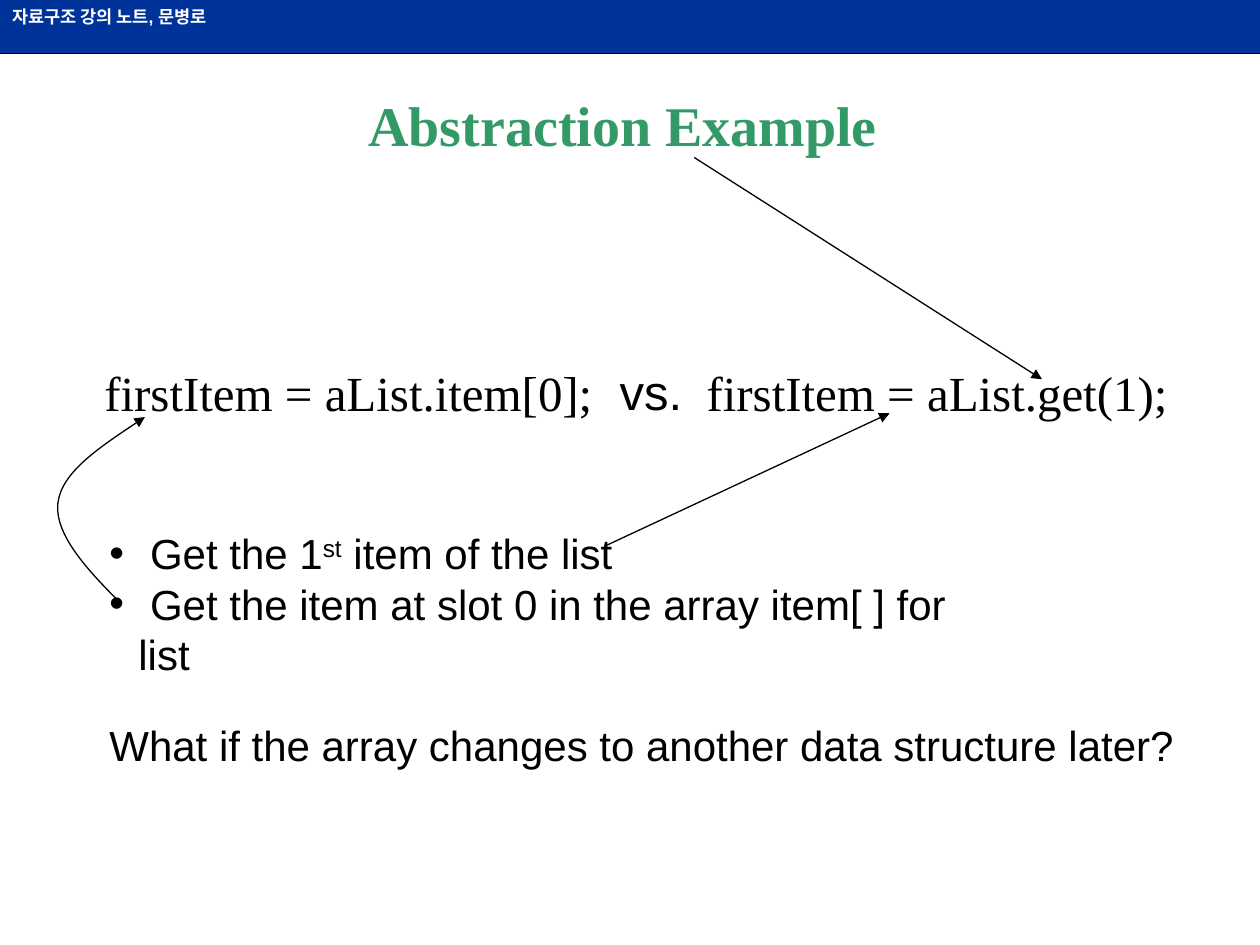
import pptx
import pptx.util
import pptx.dml.color
import pptx.enum.shapes
import pptx.enum.text
import pptx.oxml.ns
import lxml.etree
from dataclasses import dataclass

Inches = pptx.util.Inches
Pt = pptx.util.Pt
qn = pptx.oxml.ns.qn
Align = pptx.enum.text.PP_ALIGN


@dataclass(frozen=True)
class Theme:
    navy: str = "003399"
    green: str = "339966"
    black: str = "000000"
    white: str = "FFFFFF"
    sans: str = "Arial"
    serif: str = "Times New Roman"
    small: int = 10
    text: int = 24
    code: int = 28
    title: int = 32
    thin: float = 0.75
    thick: float = 1.5


THEME = Theme()


def color(hue):
    return pptx.dml.color.RGBColor.from_string(hue)


def style(font, size, name=THEME.sans, hue=THEME.black, bold=False):
    form = {"size": Pt(size), "name": name, "bold": bold}
    for key, value in form.items():
        setattr(font, key, value)
    font.color.rgb = color(hue)


def add_text(slide, box, text, size, align=Align.LEFT, wrap=True, **look):
    shape = slide.shapes.add_textbox(*map(Inches, box))
    frame = shape.text_frame
    frame.word_wrap = wrap
    para = frame.paragraphs[0]
    para.alignment = align
    run = para.add_run()
    run.text = text
    style(run.font, size, **look)


def add_list(slide, box, items, size):
    frame = slide.shapes.add_textbox(*map(Inches, box)).text_frame
    frame.word_wrap = True
    for index, parts in enumerate(items):
        para = frame.add_paragraph() if index else frame.paragraphs[0]
        props = para._p.get_or_add_pPr()
        indent = Inches(0.23)
        props.set("marL", str(indent))
        props.set("indent", str(-indent))
        lxml.etree.SubElement(props, qn("a:buFont")).set("typeface", THEME.sans)
        lxml.etree.SubElement(props, qn("a:buChar")).set("char", "•")
        for text, base in parts:
            run = para.add_run()
            run.text = text
            style(run.font, size)
            if base:
                run._r.get_or_add_rPr().set("baseline", str(base * 1000))


def draw(shape, width, arrow):
    shape.line.width = Pt(width)
    shape.line.color.rgb = color(THEME.black)
    if arrow:
        line = shape.line._get_or_add_ln()
        lxml.etree.SubElement(line, qn("a:tailEnd")).set("type", "triangle")


def add_line(slide, start, end, width=THEME.thin, arrow=True):
    kind = pptx.enum.shapes.MSO_CONNECTOR.STRAIGHT
    line = slide.shapes.add_connector(kind, *map(Inches, start + end))
    draw(line, width, arrow)
    lxml.etree.SubElement(line._element.spPr, qn("a:effectLst"))


def add_curve(slide, points):
    first, *rest = [tuple(map(Inches, point)) for point in points]
    maker = slide.shapes.build_freeform(*first)
    maker.add_line_segments(rest, close=False)
    shape = maker.convert_to_shape()
    shape.fill.background()
    shape.shadow.inherit = False
    draw(shape, THEME.thin, True)
    route = next(shape._element.iter(qn("a:path")))
    steps = route.findall(qn("a:lnTo"))
    for index in range(0, len(steps), 3):
        curve = lxml.etree.SubElement(route, qn("a:cubicBezTo"))
        for step in steps[index:index + 3]:
            curve.append(step[0])
            route.remove(step)


def add_header(slide, text):
    add_line(slide, (0, 0.42), (10, 0.42), THEME.thick, False)
    box = (0, 0, 10, 0.42)
    kind = pptx.enum.shapes.MSO_SHAPE.RECTANGLE
    bar = slide.shapes.add_shape(kind, *map(Inches, box))
    bar.shadow.inherit = False
    bar.fill.solid()
    bar.fill.fore_color.rgb = color(THEME.navy)
    bar.line.fill.background()
    add_text(slide, box, text, THEME.small, hue=THEME.white, bold=True)


def main():
    deck = pptx.Presentation()
    deck.slide_width, deck.slide_height = Inches(10), Inches(7.5)
    slide = deck.slides.add_slide(deck.slide_layouts[6])

    add_header(slide, "자료구조 강의 노트, 문병로")
    add_text(slide, (0.75, 0.67, 8.5, 1.25), "Abstraction Example ", THEME.title,
             Align.CENTER, name=THEME.serif, hue=THEME.green, bold=True)
    for left, wide, code in (
        (0.73, 4.13, "firstItem = aList.item[0];"),
        (5.51, 4.04, "firstItem = aList.get(1);"),
    ):
        add_text(slide, (left, 2.83, wide, 0.65), code, THEME.code, name=THEME.serif)
    add_text(slide, (4.82, 2.82, 0.75, 0.57), "vs.", THEME.code)
    add_text(slide, (0.77, 5.66, 8.7, 0.5),
             "What if the array changes to another data structure later?",
             THEME.text)
    add_list(slide, (0.77, 4.14, 7.22, 0.9), (
        ((" Get the 1", 0), ("st", 30), (" item of the list", 0)),
        ((" Get the item at slot 0 in the array item[ ] for list", 0),),
    ), THEME.text)
    add_line(slide, (5.51, 1.25), (8.27, 3.01))
    add_line(slide, (4.81, 4.33), (7.06, 3.28))
    add_curve(slide, ((0.96, 4.79), (0.69, 4.52), (0.43, 4.24), (0.46, 3.99),
                      (0.49, 3.75), (0.82, 3.53), (1.15, 3.31)))
    deck.save("out.pptx")


if __name__ == "__main__":
    main()
